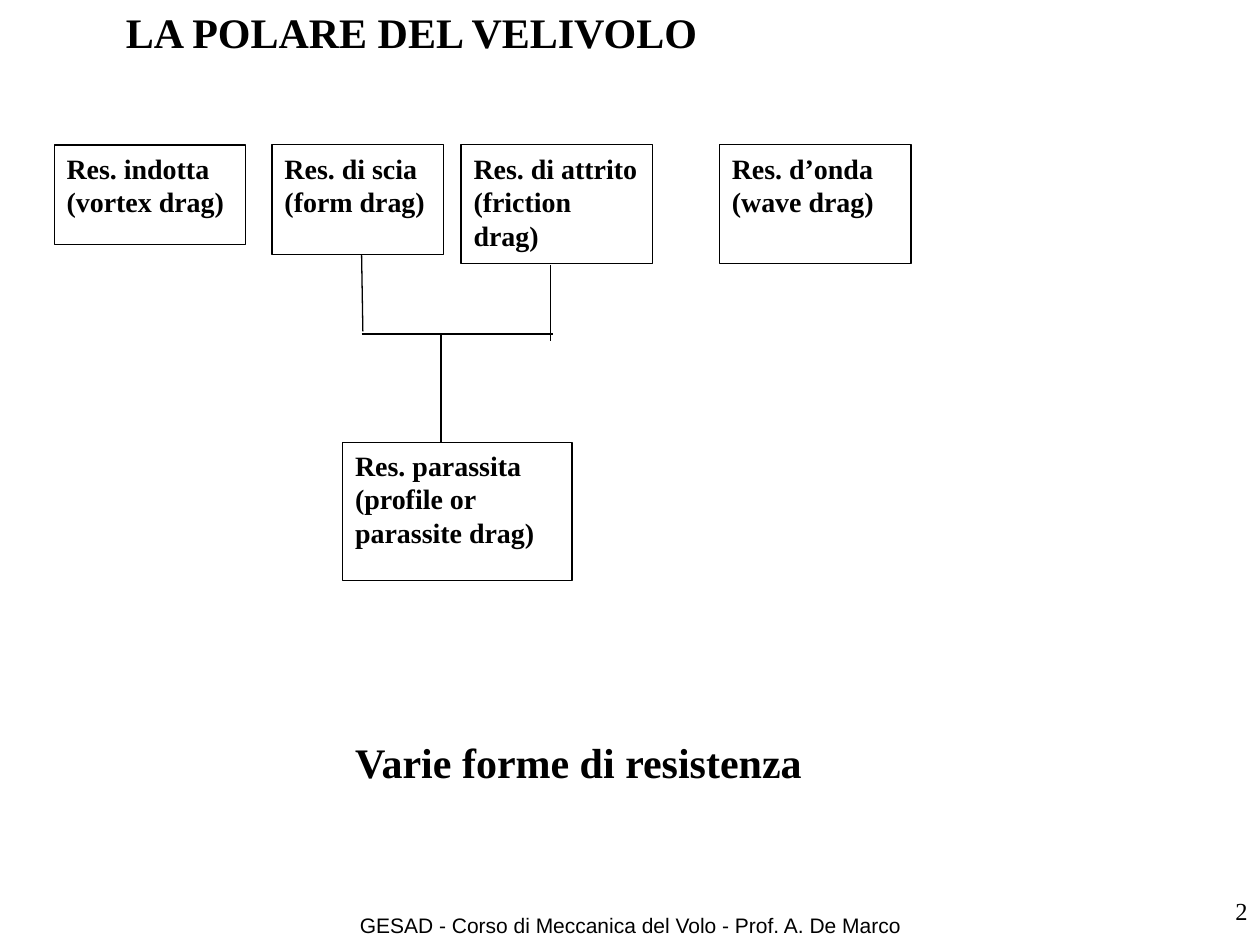
from pptx import Presentation
from pptx.dml.color import RGBColor
from pptx.enum.shapes import MSO_CONNECTOR, MSO_SHAPE
from pptx.enum.text import MSO_ANCHOR, PP_ALIGN
from pptx.oxml.ns import qn
from pptx.util import Inches, Pt
from lxml import etree

BLACK = RGBColor(0, 0, 0)
WHITE = RGBColor(255, 255, 255)
LEFT, CENTER, RIGHT = PP_ALIGN.LEFT, PP_ALIGN.CENTER, PP_ALIGN.RIGHT
TOP = MSO_ANCHOR.TOP
RECT, STRAIGHT = MSO_SHAPE.RECTANGLE, MSO_CONNECTOR.STRAIGHT
SERIF, SANS = "Times New Roman", "Arial"
LINE_WIDTH = Pt(0.75)

HEADING = {"name": SERIF, "size": Pt(24), "bold": True}
BOX_TEXT = {"name": SERIF, "size": Pt(16), "bold": True}
NUMBER = {"name": SERIF, "size": Pt(14), "bold": False}
FOOTER = {"name": SANS, "size": Pt(12), "bold": False}

# Free text: wording, (left, top, width, height), format, alignment, wrap
TEXTS = [
    ("LA POLARE DEL VELIVOLO", (0.9, 0, 4.79, 0.5), HEADING, LEFT, False),
    ("Varie forme di resistenza", (2.72, 5.8, 3.78, 0.5), HEADING, LEFT, False),
    ("GESAD - Corso di Meccanica del Volo - Prof. A. De Marco",
     (2.01, 7.19, 5.99, 0.35), FOOTER, CENTER, True),
    ("2", (9.41, 7.06, 0.59, 0.44), NUMBER, RIGHT, True),
]

# Drag components: paragraphs, (left, top, width, height)
ROW_TOP = 1.15
BOXES = [
    (["Res. indotta", "(vortex drag)"], (0.43, ROW_TOP, 1.52, 0.79)),
    (["Res. di scia", "(form drag)"], (2.16, ROW_TOP, 1.36, 0.87)),
    (["Res. di attrito (friction drag)"], (3.66, ROW_TOP, 1.52, 0.94)),
    (["Res. d’onda", "(wave drag)"], (5.71, ROW_TOP, 1.52, 0.94)),
    (["Res. parassita", "(profile or parassite drag)"], (2.72, 3.51, 1.82, 1.1)),
]

# Bracket joining form and friction drag into parasite drag
BAR_Y = 2.65
LINES = [
    (2.87, 2.02, 2.88, 2.63),
    (4.37, 2.1, 4.37, 2.71),
    (2.87, BAR_Y, 4.39, BAR_Y),
    (3.5, BAR_Y, 3.5, 3.51),
]


def write(shape, paragraphs, fmt, align=LEFT, wrap=True):
    tf = shape.text_frame
    tf.word_wrap = wrap
    tf.vertical_anchor = TOP
    for i, text in enumerate(paragraphs):
        p = tf.paragraphs[0] if i == 0 else tf.add_paragraph()
        p.alignment = align
        r = p.add_run()
        r.text = text
        for key, value in fmt.items():
            setattr(r.font, key, value)
        r.font.color.rgb = BLACK


def outline(shape):
    shape.line.color.rgb = BLACK
    shape.line.width = LINE_WIDTH


prs = Presentation()
prs.slide_width, prs.slide_height = Inches(10), Inches(7.5)
s = prs.slides.add_slide(prs.slide_layouts[6])

# Boxes
for paragraphs, place in BOXES:
    sp = s.shapes.add_shape(RECT, *map(Inches, place))
    sp.shadow.inherit = False
    sp.fill.solid()
    sp.fill.fore_color.rgb = WHITE
    outline(sp)
    write(sp, paragraphs, BOX_TEXT)

# Bracket
for ends in LINES:
    line = s.shapes.add_connector(STRAIGHT, *map(Inches, ends))
    outline(line)
    etree.SubElement(line._element.spPr, qn("a:effectLst"))

# Title, caption, footer and slide number
for text, place, fmt, align, wrap in TEXTS:
    box = s.shapes.add_textbox(*map(Inches, place))
    write(box, [text], fmt, align, wrap)

prs.save("out.pptx")
